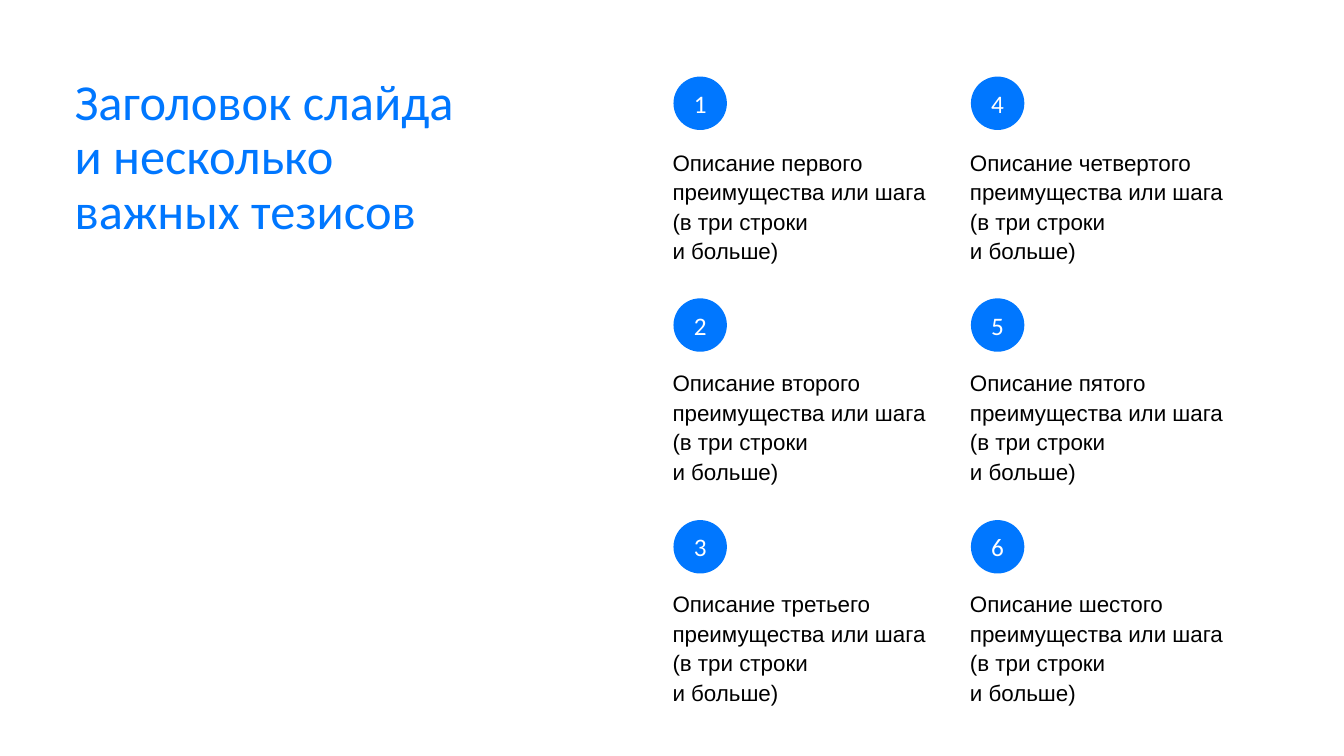
from pptx import Presentation
from pptx.dml.color import RGBColor
from pptx.enum.shapes import MSO_SHAPE
from pptx.enum.text import MSO_ANCHOR, MSO_AUTO_SIZE, PP_ALIGN
from pptx.util import Pt

PX = 9144  # EMU per px, 100 px to the inch
OVAL = MSO_SHAPE.OVAL
TOP, MIDDLE = MSO_ANCHOR.TOP, MSO_ANCHOR.MIDDLE
LEFT, CENTER = PP_ALIGN.LEFT, PP_ALIGN.CENTER
NO_AUTOFIT = MSO_AUTO_SIZE.NONE
COLORS = {"blue": "0077FF", "white": "FFFFFF", "black": "000000"}

ORDINALS = ["первого", "второго", "третьего", "четвертого", "пятого", "шестого"]
ROWS = 3
COLUMN_STEP = 295
BADGE_LEFT, BADGE_TOP, BADGE_SIZE, BADGE_STEP = 668, 76, 53, 220
NOTE_LEFT, NOTE_TOP, NOTE_WIDTH, NOTE_HEIGHT, NOTE_STEP = 667, 140, 269, 135, 219


def box(*lengths):
    return [length * PX for length in lengths]


def write(frame, text, font, size, color, margins, spacing=1.0, align=LEFT, anchor=TOP):
    """Fill a text frame with one paragraph; margins run left, top, right, bottom."""
    frame.word_wrap = True
    frame.auto_size = NO_AUTOFIT
    frame.vertical_anchor = anchor
    (frame.margin_left, frame.margin_top,
     frame.margin_right, frame.margin_bottom) = box(*margins)
    paragraph = frame.paragraphs[0]
    paragraph.text = text
    paragraph.alignment = align
    paragraph.line_spacing = spacing
    for run in paragraph.runs:
        run.font.name = font
        run.font.size = Pt(size)
        run.font.color.rgb = RGBColor.from_string(COLORS[color])


deck = Presentation()
deck.slide_width, deck.slide_height = box(1333, 750)
slide = deck.slides.add_slide(deck.slide_layouts[5])

title = slide.shapes.title
title.left, title.top, title.width, title.height = box(74, 76, 565, 70)
write(title.text_frame, "Заголовок слайда \vи несколько \vважных тезисов",
      "Calibri", 36, "blue", (0, 0, 0, 0), spacing=0.9)

for index, ordinal in enumerate(ORDINALS):
    column, row = divmod(index, ROWS)

    note = slide.shapes.add_textbox(*box(
        NOTE_LEFT + column * COLUMN_STEP, NOTE_TOP + row * NOTE_STEP,
        NOTE_WIDTH, NOTE_HEIGHT))
    write(note.text_frame,
          f"Описание {ordinal} преимущества или шага (в три строки \vи больше)",
          "Arial", 16, "black", (0, 5, 10, 5), spacing=1.1)

    badge = slide.shapes.add_shape(OVAL, *box(
        BADGE_LEFT + column * COLUMN_STEP, BADGE_TOP + row * BADGE_STEP,
        BADGE_SIZE, BADGE_SIZE))
    badge.shadow.inherit = False
    badge.fill.solid()
    badge.fill.fore_color.rgb = RGBColor.from_string(COLORS["blue"])
    badge.line.fill.background()
    write(badge.text_frame, str(index + 1), "Calibri", 18, "white",
          (10, 5, 10, 5), align=CENTER, anchor=MIDDLE)

deck.save("out.pptx")
